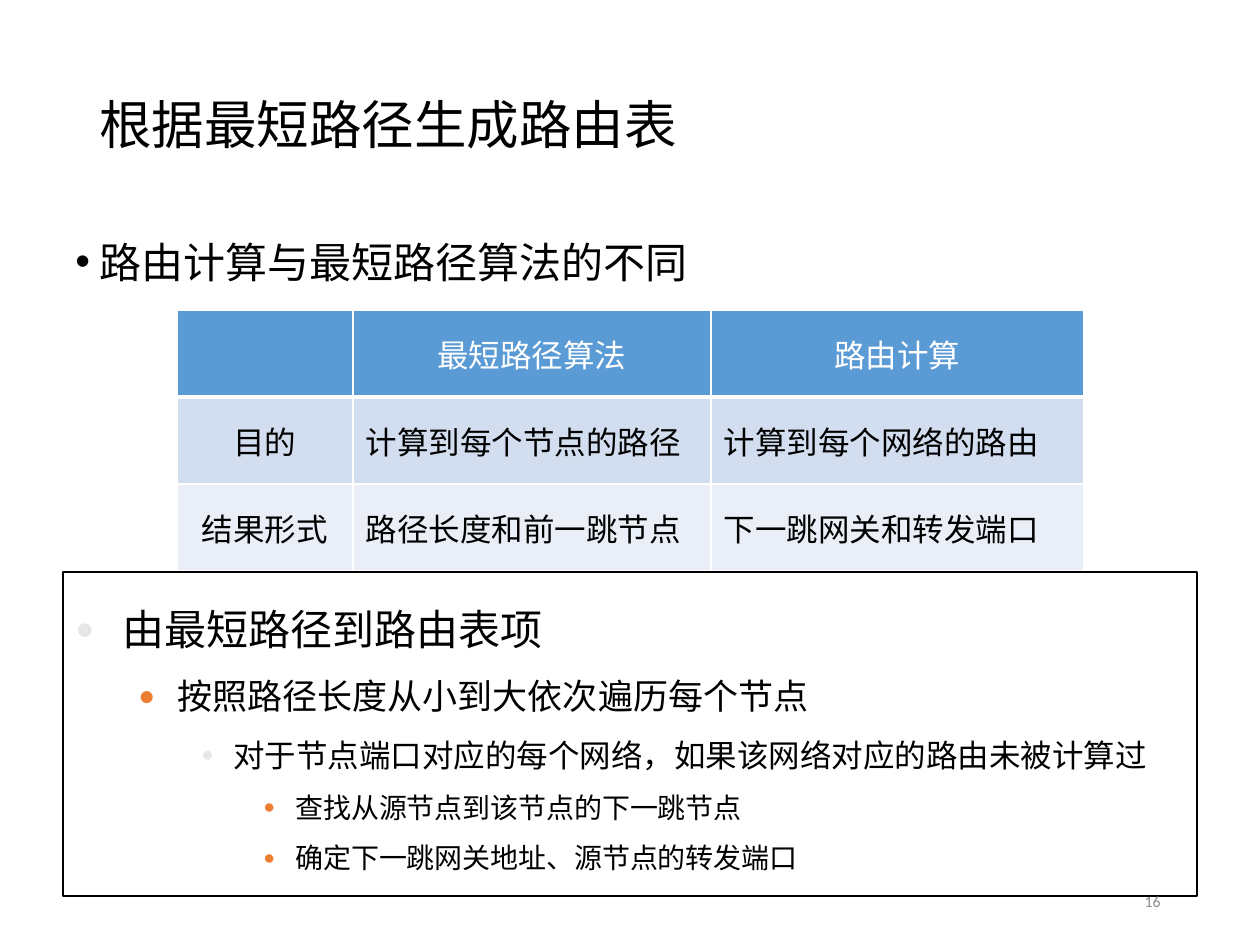
from pptx import Presentation
from pptx.dml.color import RGBColor
from pptx.enum.shapes import MSO_SHAPE
from pptx.enum.text import MSO_ANCHOR, PP_ALIGN
from pptx.oxml.ns import qn
from pptx.util import Pt
from lxml.etree import SubElement

# Content
TITLE = "根据最短路径生成路由表"
LEAD = "路由计算与最短路径算法的不同"
PAGE_NUMBER = "16"
COMPARISON = [
    ["", "最短路径算法", "路由计算"],
    ["目的", "计算到每个节点的路径", "计算到每个网络的路由"],
    ["结果形式", "路径长度和前一跳节点", "下一跳网关和转发端口"],
]
STEPS = [  # level, wording
    (0, "由最短路径到路由表项"),
    (1, "按照路径长度从小到大依次遍历每个节点"),
    (2, "对于节点端口对应的每个网络，如果该网络对应的路由未被计算过"),
    (3, "查找从源节点到该节点的下一跳节点"),
    (3, "确定下一跳网关地址、源节点的转发端口"),
]

# Theme
THEME = {
    "font": "Calibri", "text": "000000", "white": "FFFFFF", "muted": "8C8C8C",
    "header": "5B9BD5", "bands": ["D2DEEF", "EAEFF7"],
    "title_size": 30, "lead_size": 24, "table_size": 18, "number_size": 9,
}
LEVELS = [  # type size, indent and hang in pixels, bullet colour, bullet percent
    (24, 47, 47, "E7E6E6", 75),
    (20, 102, 39, "ED7D31", 80),
    (18, 158, 32, "E7E6E6", 65),
    (16, 220, 32, "ED7D31", 70),
]

# Layout in pixels
SCALE = 914400 // 126
TITLE_AREA = (87, 50, 1086, 155)
LEAD_AREA = (63, 215, 1134, 100)
STEPS_AREA = (63, 572, 1134, 324)
NUMBER_AREA = (890, 876, 283, 50)
TABLE_LEFT, TABLE_TOP, ROW_HEIGHT = 177, 310, 87
COLUMN_WIDTHS = [176, 358, 373]


def px(value):
    return value * SCALE


def style(para, size, color):
    for span in para.runs:
        span.font.size = Pt(size)
        span.font.name = THEME["font"]
        span.font.color.rgb = RGBColor.from_string(color)


def add_bullet(para, char, indent, hang, color, percent=100):
    props = para._p.get_or_add_pPr()
    props.set("marL", str(px(indent)))
    props.set("indent", str(-px(hang)))
    holder = SubElement(props, qn("a:buClr"))
    SubElement(holder, qn("a:srgbClr"), val=color)
    SubElement(props, qn("a:buSzPct"), val=str(percent * 1000))
    SubElement(props, qn("a:buFont"), typeface="Arial")
    SubElement(props, qn("a:buChar"), char=char)


def add_text(area, wording, size, color, anchor=MSO_ANCHOR.TOP):
    box = page.shapes.add_textbox(*map(px, area))
    frame = box.text_frame
    frame.word_wrap = True
    frame.vertical_anchor = anchor
    frame.text = wording
    para = frame.paragraphs[0]
    style(para, size, color)
    return para


def add_borders(cell, bottom_width):
    props = cell._tc.get_or_add_tcPr()
    for side, width in (("L", 1), ("R", 1), ("T", 1), ("B", bottom_width)):
        line = SubElement(props, qn("a:ln" + side), w=str(Pt(width)))
        fill = SubElement(line, qn("a:solidFill"))
        SubElement(fill, qn("a:srgbClr"), val=THEME["white"])


deck = Presentation()
deck.slide_width, deck.slide_height = px(1260), px(945)
page = deck.slides.add_slide(deck.slide_layouts[6])

# Title and lead line
para = add_text(TITLE_AREA, TITLE, THEME["title_size"], THEME["text"], MSO_ANCHOR.MIDDLE)
para.line_spacing = 0.9
para = add_text(LEAD_AREA, LEAD, THEME["lead_size"], THEME["text"])
para.line_spacing = 1.3
para.space_before = Pt(7.5)
add_bullet(para, "•", 24, 24, THEME["text"])

# Comparison table
row_count = len(COMPARISON)
table = page.shapes.add_table(
    row_count, len(COLUMN_WIDTHS), px(TABLE_LEFT), px(TABLE_TOP),
    px(sum(COLUMN_WIDTHS)), px(ROW_HEIGHT * row_count)).table
for column, width in zip(table.columns, COLUMN_WIDTHS):
    column.width = px(width)
for r, words in enumerate(COMPARISON):
    table.rows[r].height = px(ROW_HEIGHT)
    is_header = r == 0
    for c, wording in enumerate(words):
        cell = table.cell(r, c)
        cell.text = wording
        cell.vertical_anchor = MSO_ANCHOR.MIDDLE
        add_borders(cell, 3 if is_header else 1)
        cell.fill.solid()
        cell.fill.fore_color.rgb = RGBColor.from_string(
            THEME["header"] if is_header else THEME["bands"][(r - 1) % 2])
        para = cell.text_frame.paragraphs[0]
        para.alignment = PP_ALIGN.CENTER if is_header or c == 0 else PP_ALIGN.LEFT
        style(para, THEME["table_size"], THEME["white" if is_header else "text"])
        para.font.bold = False

# Framed steps
frame_box = page.shapes.add_shape(MSO_SHAPE.RECTANGLE, *map(px, STEPS_AREA))
frame_box.shadow.inherit = False
frame_box.fill.background()
frame_box.line.color.rgb = RGBColor.from_string(THEME["text"])
frame_box.line.width = Pt(0.75)
frame = frame_box.text_frame
frame.word_wrap = True
frame.vertical_anchor = MSO_ANCHOR.TOP
frame.text = "\n".join(wording for _, wording in STEPS)
for para, (level, _) in zip(frame.paragraphs, STEPS):
    size, indent, hang, color, percent = LEVELS[level]
    para.level = level
    para.alignment = PP_ALIGN.LEFT
    para.line_spacing = 1.5
    style(para, size, THEME["text"])
    add_bullet(para, "●", indent, hang, color, percent)

# Page number
para = add_text(NUMBER_AREA, PAGE_NUMBER, THEME["number_size"], THEME["muted"], MSO_ANCHOR.MIDDLE)
para.alignment = PP_ALIGN.RIGHT

deck.save("out.pptx")
